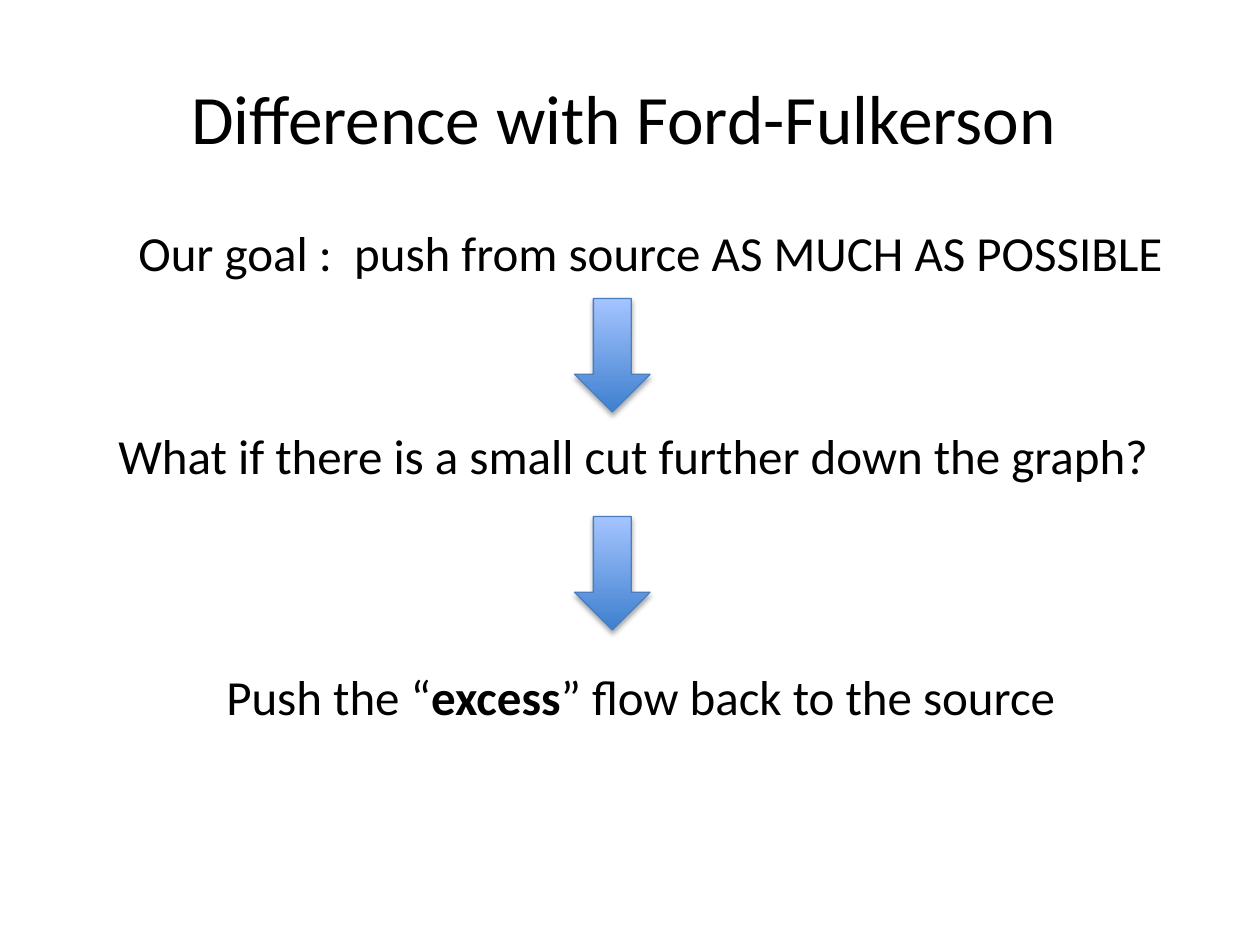
"""Build the slide on how push-style flow differs from Ford-Fulkerson."""
from lxml.etree import SubElement as Sub
from pptx import Presentation
from pptx.dml.color import RGBColor
from pptx.enum.shapes import MSO_SHAPE as Kind
from pptx.enum.text import MSO_ANCHOR as Anchor, PP_ALIGN as Align
from pptx.oxml.ns import qn
from pptx.util import Inches, Pt

BLACK = RGBColor(0x00, 0x00, 0x00)
DEEP = RGBColor(0x3F, 0x80, 0xCE)
PALE = RGBColor(0xA4, 0xC4, 0xFF)
EDGE = RGBColor(0x4B, 0x7E, 0xBC)

TITLE = "Difference with Ford-Fulkerson"
STEPS = [
    (1.0, 1.72, Align.LEFT, ["Our goal :  push from source AS MUCH AS POSSIBLE"]),
    (0.27, 3.33, Align.CENTER, ["What if there is a small cut further down the graph?"]),
    (0.33, 5.24, Align.CENTER, ["Push the “", "excess", "” flow back to the source"]),
]
STEP_W, STEP_H = 9.51, 1.92
ARROW_X, ARROW_W, ARROW_H = 4.56, 0.6, 0.9
ARROW_TOPS = [2.37, 4.1]


def add_text(slide, box, parts, size, align, anchor=Anchor.TOP):
    frame = slide.shapes.add_textbox(*map(Inches, box)).text_frame
    frame.word_wrap = True
    frame.vertical_anchor = anchor
    para = frame.paragraphs[0]
    para.alignment = align
    for i, part in enumerate(parts):
        run = para.add_run()
        run.text = part
        font = run.font
        font.name, font.size, font.bold = "Calibri", Pt(size), i == 1
        font.color.rgb = BLACK


def add_shade(shape):
    shape.shadow.inherit = False
    effects = shape._element.spPr.find(qn("a:effectLst"))
    shade = Sub(effects, qn("a:outerShdw"), blurRad=str(Pt(3.1)),
                dist=str(Pt(1.8)), dir="5400000", rotWithShape="0")
    tint = Sub(shade, qn("a:srgbClr"), val=str(BLACK))
    Sub(tint, qn("a:alpha"), val="35000")


def add_arrow(slide, top):
    box = (ARROW_X, top, ARROW_W, ARROW_H)
    arrow = slide.shapes.add_shape(Kind.DOWN_ARROW, *map(Inches, box))
    arrow.fill.gradient()
    arrow.fill.gradient_angle = 90
    for stop, color in zip(arrow.fill.gradient_stops, (DEEP, PALE)):
        stop.color.rgb = color
    arrow.line.color.rgb = EDGE
    arrow.line.width = Pt(0.75)
    add_shade(arrow)


def main():
    deck = Presentation()
    deck.slide_width, deck.slide_height = Inches(10), Inches(7.5)
    slide = deck.slides.add_slide(deck.slide_layouts[6])
    add_text(slide, (0.45, 0.3, 9, 1.25), [TITLE], 39.6, Align.CENTER, Anchor.MIDDLE)
    for left, top, align, parts in STEPS:
        add_text(slide, (left, top, STEP_W, STEP_H), parts, 28, align)
    for top in ARROW_TOPS:
        add_arrow(slide, top)
    deck.save("out.pptx")


if __name__ == "__main__":
    main()
